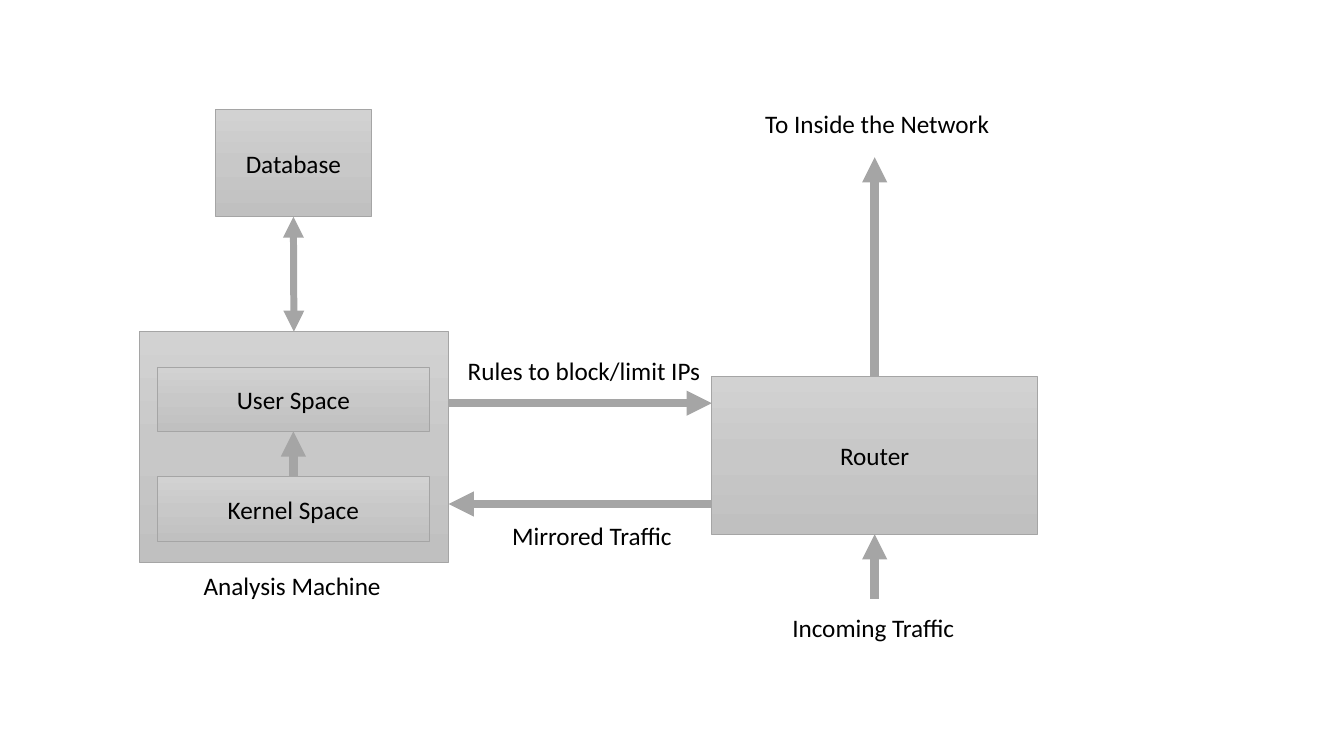
"""Draw the traffic analysis diagram: boxes, flows and labels."""
from copy import deepcopy

from lxml.etree import SubElement
from pptx import Presentation
from pptx.dml.color import RGBColor
from pptx.enum.shapes import MSO_CONNECTOR, MSO_SHAPE
from pptx.enum.text import MSO_ANCHOR, MSO_AUTO_SIZE, PP_ALIGN
from pptx.oxml.ns import qn
from pptx.util import Inches, Pt

BLACK = RGBColor(0x00, 0x00, 0x00)
GREY = RGBColor(0xA5, 0xA5, 0xA5)
SHADES = [RGBColor(0xD2, 0xD2, 0xD2), RGBColor(0xC8, 0xC8, 0xC8), RGBColor(0xC0, 0xC0, 0xC0)]
FONT = "Calibri"
TOP, BOTTOM = 0, 2

MACHINE = "Analysis Machine"
BOXES = {
    "Router": (7.06, 3.73, 3.23, 1.57),
    MACHINE: (1.38, 3.29, 3.07, 2.29),
    "User Space": (1.56, 3.64, 2.7, 0.64),
    "Kernel Space": (1.56, 4.73, 2.7, 0.64),
    "Database": (2.14, 1.09, 1.54, 1.06),
}
LABELS = [
    ("Incoming Traffic", 7.76, 6.03, 1.83),
    ("To Inside the Network", 7.49, 1.03, 2.44),
    ("Mirrored Traffic", 4.98, 5.11, 1.81),
    ("Rules to block/limit IPs", 4.54, 3.48, 2.53),
    (MACHINE, 1.92, 5.61, 1.98),
]
LABEL_HEIGHT = 0.4

machine_right = BOXES[MACHINE][0] + BOXES[MACHINE][2]
router_left = BOXES["Router"][0]
router_middle = router_left + BOXES["Router"][2] / 2
ONE_WAY, TWO_WAY = ("tailEnd",), ("headEnd", "tailEnd")
FLOWS = [
    ((router_middle, 5.94), ("Router", BOTTOM), 6, ONE_WAY),
    ((router_left, 5), (machine_right, 5), 6, ONE_WAY),
    (("Kernel Space", TOP), ("User Space", BOTTOM), 6, ONE_WAY),
    (("Router", TOP), (router_middle, 1.56), 6, ONE_WAY),
    (("Database", BOTTOM), (MACHINE, TOP), 5, TWO_WAY),
    ((machine_right, 4), (router_left, 4), 6, ONE_WAY),
]


def write(frame, wording, align):
    paragraph = frame.paragraphs[0]
    paragraph.alignment = align
    run = paragraph.add_run()
    run.text = wording
    run.font.name = FONT
    run.font.size = Pt(18)
    run.font.color.rgb = BLACK


def shade(fill):
    fill.gradient()
    fill.gradient_angle = 270
    first = fill.gradient_stops[0]
    stop_list = first._gs.getparent()
    stop_list.insert(1, deepcopy(first._gs))
    for number, (stop, color) in enumerate(zip(fill.gradient_stops, SHADES)):
        stop.position = number / 2
        stop.color.rgb = color


def add_box(slide, wording, place):
    box = slide.shapes.add_shape(MSO_SHAPE.RECTANGLE, *map(Inches, place))
    box.shadow.inherit = False
    shade(box.fill)
    box.line.color.rgb = GREY
    box.line.width = Pt(0.5)
    if wording != MACHINE:
        box.text_frame.vertical_anchor = MSO_ANCHOR.MIDDLE
        write(box.text_frame, wording, PP_ALIGN.CENTER)
    return box


def add_label(slide, wording, left, top, width):
    label = slide.shapes.add_textbox(*map(Inches, (left, top, width, LABEL_HEIGHT)))
    label.text_frame.word_wrap = False
    label.text_frame.auto_size = MSO_AUTO_SIZE.SHAPE_TO_FIT_TEXT
    write(label.text_frame, wording, PP_ALIGN.LEFT)


def locate(end):
    if end[0] not in BOXES:
        return end
    left, top, width, height = BOXES[end[0]]
    return left + width / 2, top + (height if end[1] == BOTTOM else 0)


def add_flow(slide, boxes, start, finish, weight, heads):
    points = map(Inches, (*locate(start), *locate(finish)))
    flow = slide.shapes.add_connector(MSO_CONNECTOR.STRAIGHT, *points)
    for end, connect in ((start, flow.begin_connect), (finish, flow.end_connect)):
        if end[0] in boxes:
            connect(boxes[end[0]], end[1])
    flow.line.color.rgb = GREY
    flow.line.width = Pt(weight)
    outline = flow.line._get_or_add_ln()
    for head in heads:
        SubElement(outline, qn(f"a:{head}"), type="triangle")
    SubElement(flow._element.spPr, qn("a:effectLst"))


deck = Presentation()
deck.slide_width, deck.slide_height = Inches(13.33), Inches(7.5)
slide = deck.slides.add_slide(deck.slide_layouts[6])
boxes = {wording: add_box(slide, wording, place) for wording, place in BOXES.items()}
for flow in FLOWS:
    add_flow(slide, boxes, *flow)
for label in LABELS:
    add_label(slide, *label)
deck.save("out.pptx")
